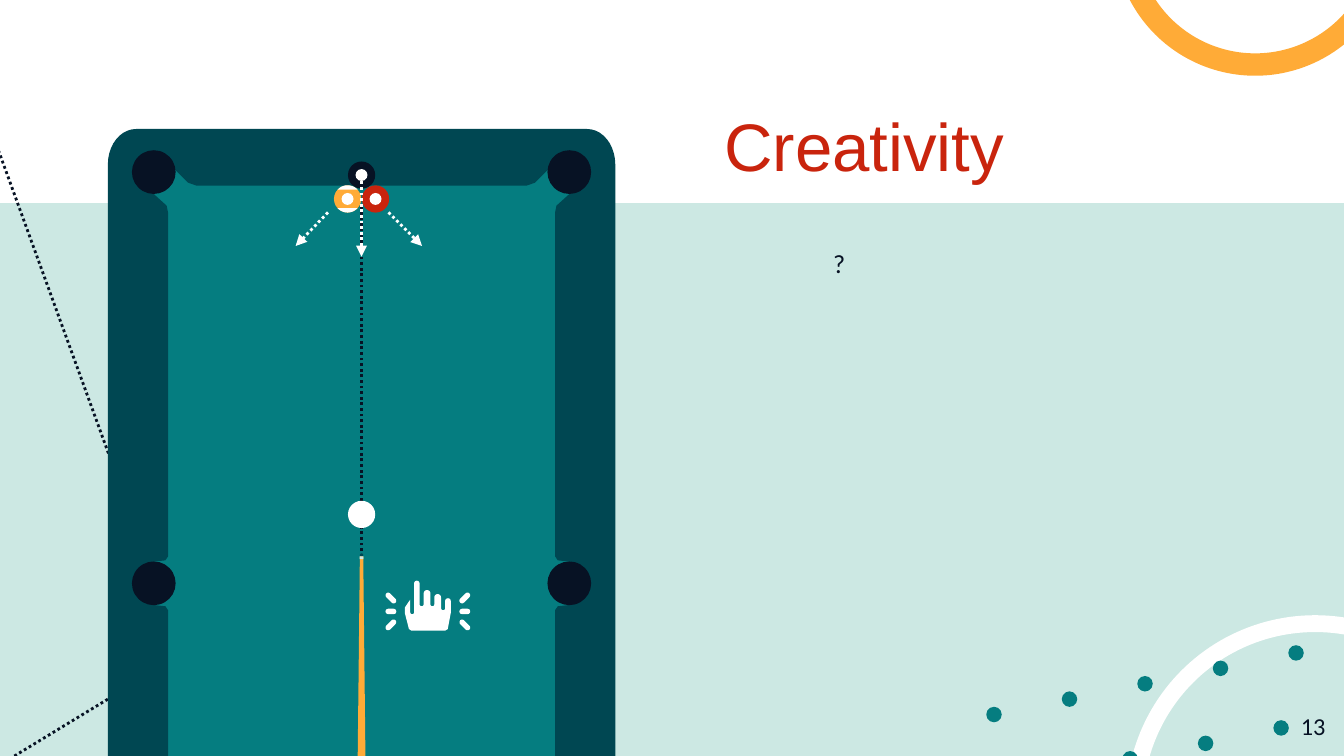
from math import cos, radians, sin

from lxml import etree
from pptx import Presentation
from pptx.dml.color import RGBColor
from pptx.enum.dml import MSO_LINE
from pptx.enum.shapes import MSO_CONNECTOR, MSO_SHAPE
from pptx.enum.text import MSO_ANCHOR, PP_ALIGN
from pptx.oxml.ns import qn
from pptx.util import Pt

OVAL, RECT, PILL = MSO_SHAPE.OVAL, MSO_SHAPE.RECTANGLE, MSO_SHAPE.ROUNDED_RECTANGLE
STRAIGHT = MSO_CONNECTOR.STRAIGHT
DOTTED = MSO_LINE.ROUND_DOT
TOP, MIDDLE = MSO_ANCHOR.TOP, MSO_ANCHOR.MIDDLE
LEFT, RIGHT = PP_ALIGN.LEFT, PP_ALIGN.RIGHT

WHITE = RGBColor(0xFF, 0xFF, 0xFF)
MINT = RGBColor(0xCC, 0xE8, 0xE3)
TEAL = RGBColor(0x05, 0x7D, 0x80)
DEEP_TEAL = RGBColor(0x00, 0x47, 0x52)
NAVY = RGBColor(0x07, 0x12, 0x24)
ORANGE = RGBColor(0xFF, 0xAB, 0x37)
RED = RGBColor(0xC9, 0x24, 0x0D)

# One quarter of the cushion edge, from the middle pocket up to the top rail
CUSHION = [(23.6, 231.9), (30.8, 231.1), (32.2, 229), (32.2, 44.7), (31.5, 41.1),
           (24.3, 34.6), (35.8, 21.6), (43, 28.8), (47.3, 30.3)]
# Left, right and extreme height of each fingertip and gap in turn
FINGERS = [(2.9, 5, 18), (5, 7.9, 0), (7.9, 10.1, 13.7), (10.1, 13.7, 5),
           (13.7, 15.8, 13.7), (15.8, 19.4, 7.2), (19.4, 21.6, 15.8), (21.6, 24.6, 9.4)]
PALM = [(24.6, 17.3), (23, 25.9), (21.6, 26.8), (3.6, 26.8), (2.2, 25.9),
        (0, 17.3), (0, 14.4), (2.9, 10.1)]


def paint(shape, fill=None, line=None, width=1.5, dash=None):
    shape.shadow.inherit = False
    if fill is None:
        shape.fill.background()
    else:
        shape.fill.solid()
        shape.fill.fore_color.rgb = fill
    if line is None:
        shape.line.fill.background()
    else:
        formats = {"width": Pt(width), "dash_style": dash}
        shape.line.color.rgb = line
        for key, value in formats.items():
            setattr(shape.line, key, value)
    return shape


def add_preset(slide, kind, box, **look):
    return paint(slide.shapes.add_shape(kind, *map(Pt, box)), **look)


def add_disc(slide, x, y, diameter, fill):
    box = (x - diameter / 2, y - diameter / 2, diameter, diameter)
    return add_preset(slide, OVAL, box, fill=fill)


def add_outline(slide, origin, contours, close=True, **look):
    """Draw contours, given relative to origin, as one freeform."""
    placed = [[(Pt(origin[0] + x), Pt(origin[1] + y)) for x, y in contour]
              for contour in contours]
    builder = slide.shapes.build_freeform(*placed[0][0])
    for number, contour in enumerate(placed):
        if number:
            builder.move_to(*contour[0])
        builder.add_line_segments(contour[1:], close=close)
    return paint(builder.convert_to_shape(), **look)


def add_dotted_line(slide, start, end, color, arrow=False):
    connector = slide.shapes.add_connector(STRAIGHT, *map(Pt, (*start, *end)))
    connector.line.color.rgb = color
    formats = {"width": Pt(1.5), "dash_style": DOTTED}
    for key, value in formats.items():
        setattr(connector.line, key, value)
    if arrow:
        line_xml = connector.line._get_or_add_ln()
        etree.SubElement(line_xml, qn("a:tailEnd"), type="triangle")
    etree.SubElement(connector._element.spPr, qn("a:effectLst"))


def add_text(slide, box, text, color, font, size, anchor=TOP, align=LEFT):
    frame = slide.shapes.add_textbox(*map(Pt, box)).text_frame
    sides = ("left", "right", "top", "bottom")
    formats = {f"margin_{side}": Pt(7.2) for side in sides}
    formats.update(word_wrap=True, vertical_anchor=anchor)
    for key, value in formats.items():
        setattr(frame, key, value)
    paragraph = frame.paragraphs[0]
    paragraph.alignment = align
    run = paragraph.add_run()
    run.text = text
    for key, value in {"name": font, "size": Pt(size)}.items():
        setattr(run.font, key, value)
    run.font.color.rgb = color


def arc(x, y, rx, ry, start, end, steps=10):
    angles = [radians(start + (end - start) * i / steps) for i in range(steps + 1)]
    return [(x + rx * cos(a), y + ry * sin(a)) for a in angles]


def four_way(quarter, width, height):
    """Mirror the top left quarter of a contour into a closed ring."""
    top = quarter + [(width - x, y) for x, y in reversed(quarter)]
    return top + [(x, height - y) for x, y in reversed(top)]


def draw_backdrop(slide, box):
    left, top, width, _ = box
    add_preset(slide, RECT, (left, top, width, 108.7), fill=WHITE)
    add_preset(slide, OVAL, (left + 607.7, top + 334.1, 193.7, 193.7), line=WHITE, width=9)
    for x, y, count in ((532.5, 382.8, 5), (605.4, 406.5, 3)):
        for i in range(count):
            add_disc(slide, left + x + 40.45 * i, top + y - 8.25 * i, 8.3, TEAL)
    add_preset(slide, OVAL, (left + 602.6, top - 105.1, 139.7, 139.7), line=ORANGE, width=12)
    bounce = [(0, 409.7), (97.2, 350.6), (-2.9, 74.9)]
    add_outline(slide, (left, top), [bounce], close=False, line=NAVY, dash=DOTTED)


def draw_table(slide, box):
    left, top, width, height = box
    add_preset(slide, RECT, (left + 8.7, top + 4.3, width - 17.4, height - 8.6), fill=TEAL)
    corner = arc(15.1, 18.9, 15.1, 18.9, 180, 270)
    rim = four_way(corner, width, height)
    cushions = four_way(CUSHION, width, height)
    add_outline(slide, (left, top), [rim, cushions[::-1]], fill=DEEP_TEAL)
    for y in (23.1, height / 2):
        for x in (24.6, width - 24.6):
            add_disc(slide, left + x, top + y, 23.4, NAVY)


def draw_cue(slide, x, y):
    """Draw the cue pointing up, with its tip at x, y."""
    add_disc(slide, x, y + 0.8, 1.8, DEEP_TEAL)
    shaft = [(-0.9, 1.5), (0.9, 1.5), (4.3, 314), (2.5, 316), (-2.5, 316), (-4.3, 314)]
    add_outline(slide, (x, y), [shaft], fill=ORANGE)
    add_preset(slide, RECT, (x - 1, y + 1.5, 2, 1.5), fill=MINT)


def draw_ball(slide, x, y, color, striped=False):
    radius = 7.3
    add_disc(slide, x, y, 2 * radius, color)
    if striped:
        for middle in (90, 270):
            cap = arc(0, 0, radius, radius, middle - 47, middle + 47)
            add_outline(slide, (x, y), [cap], fill=WHITE)
    add_disc(slide, x, y, 6.4, WHITE)


def draw_hand(slide, x, y):
    """Draw the pointing hand with its top left at x, y, and the sparks beside it."""
    contour = []
    for number, (start, end, extreme) in enumerate(FINGERS):
        radius = (end - start) / 2
        bend = 1 if number % 2 else -1
        contour += arc(start + radius, extreme + bend * radius, radius, radius,
                       180, 180 + bend * 180)
    add_outline(slide, (x, y), [contour + PALM], fill=WHITE)
    for side in (1, -1):
        for row in (-1, 0, 1):
            length = 7 if row else 5.8
            center_x, center_y = x + 12.3 + side * 19.8, y + 16.5 + row * 7.2
            spark = add_preset(slide, PILL, (center_x - length / 2, center_y - 1.45,
                                             length, 2.9), fill=WHITE)
            spark.adjustments[0] = 0.5
            spark.rotation = side * row * 45


def draw_shot(slide, box):
    left, top, width, _ = box
    center = left + width / 2
    add_dotted_line(slide, (center, top + 226.1), (center, top + 40.3), NAVY)
    draw_cue(slide, center, top + 227.5)
    add_disc(slide, center, top + 206.5, 14.6, WHITE)
    draw_ball(slide, center, top + 24.7, NAVY)
    draw_ball(slide, center - 7.5, top + 37.5, ORANGE, striped=True)
    draw_ball(slide, center + 7.5, top + 37.5, RED)
    draw_hand(slide, left + 159.1, top + 242)
    for x1, y1, x2, y2 in ((-18, 44.7, -35.3, 62.7), (14.4, 44.7, 32.4, 62.7),
                           (0, 28.1, 0, 68.4)):
        add_dotted_line(slide, (center + x1, top + y1), (center + x2, top + y2),
                        WHITE, arrow=True)


def draw_wording(slide, box):
    left, top, _, _ = box
    add_text(slide, (left, top, 255.6, 45.4), "Creativity", RED, "Arial", 36, anchor=MIDDLE)
    add_text(slide, (left + 58.3, top + 70.6, 205.9, 59), "?", NAVY, "Calibri", 14)
    add_text(slide, (left + 293, top + 319, 43.2, 31), "13", NAVY, "Calibri", 13, align=RIGHT)


def main():
    presentation = Presentation()
    presentation.slide_width, presentation.slide_height = Pt(720), Pt(405)
    slide = presentation.slides.add_slide(presentation.slide_layouts[6])
    slide.background.fill.solid()
    slide.background.fill.fore_color.rgb = MINT
    table_box = (57.8, 69.1, 271.8, 486.8)
    draw_backdrop(slide, (0, 0, 720, 405))
    draw_wording(slide, (380.9, 54.7, 336.2, 350))
    draw_table(slide, table_box)
    draw_shot(slide, table_box)
    presentation.save("out.pptx")


if __name__ == "__main__":
    main()
